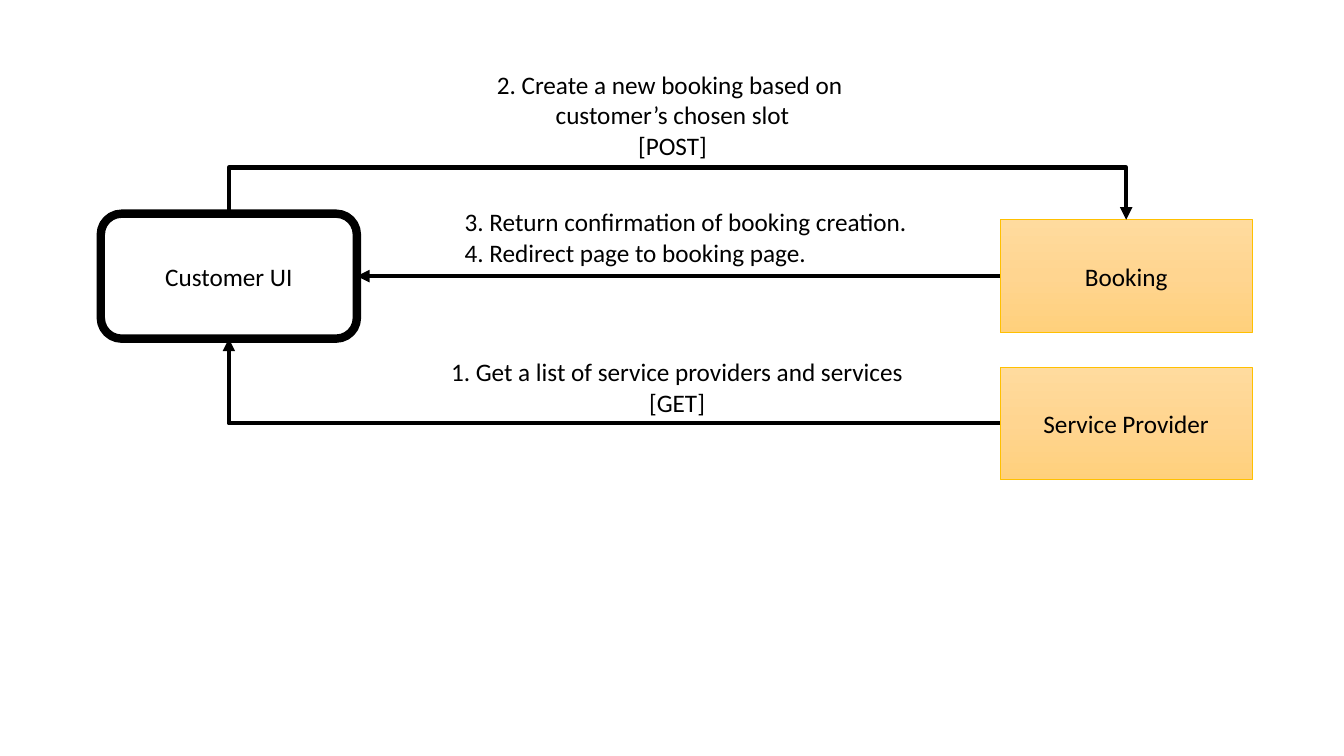
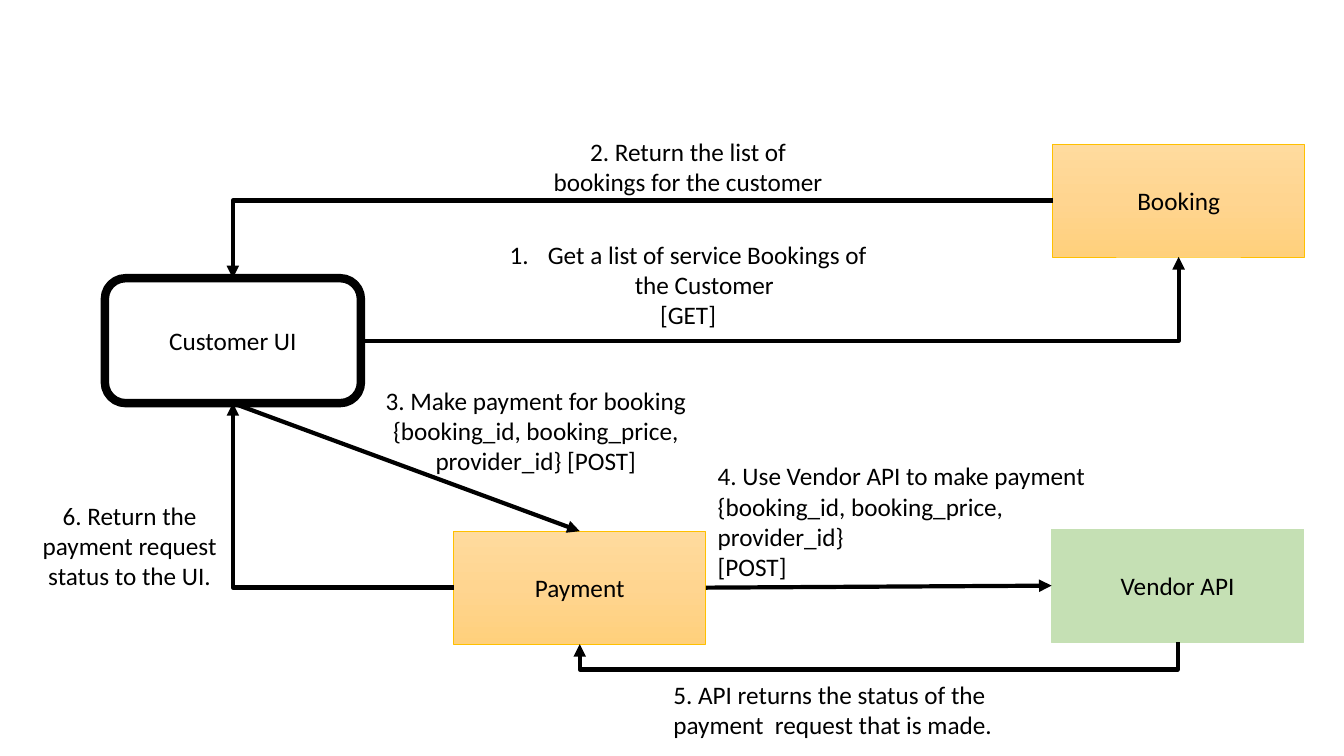
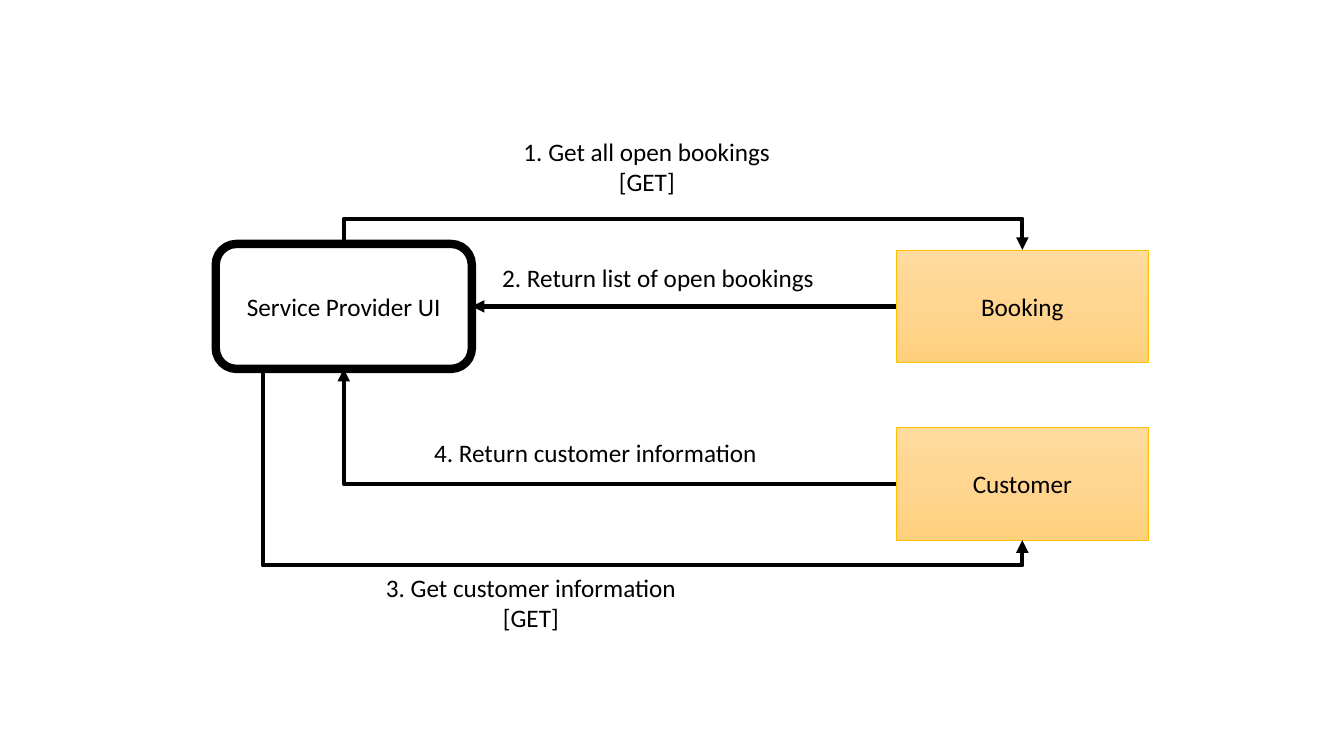
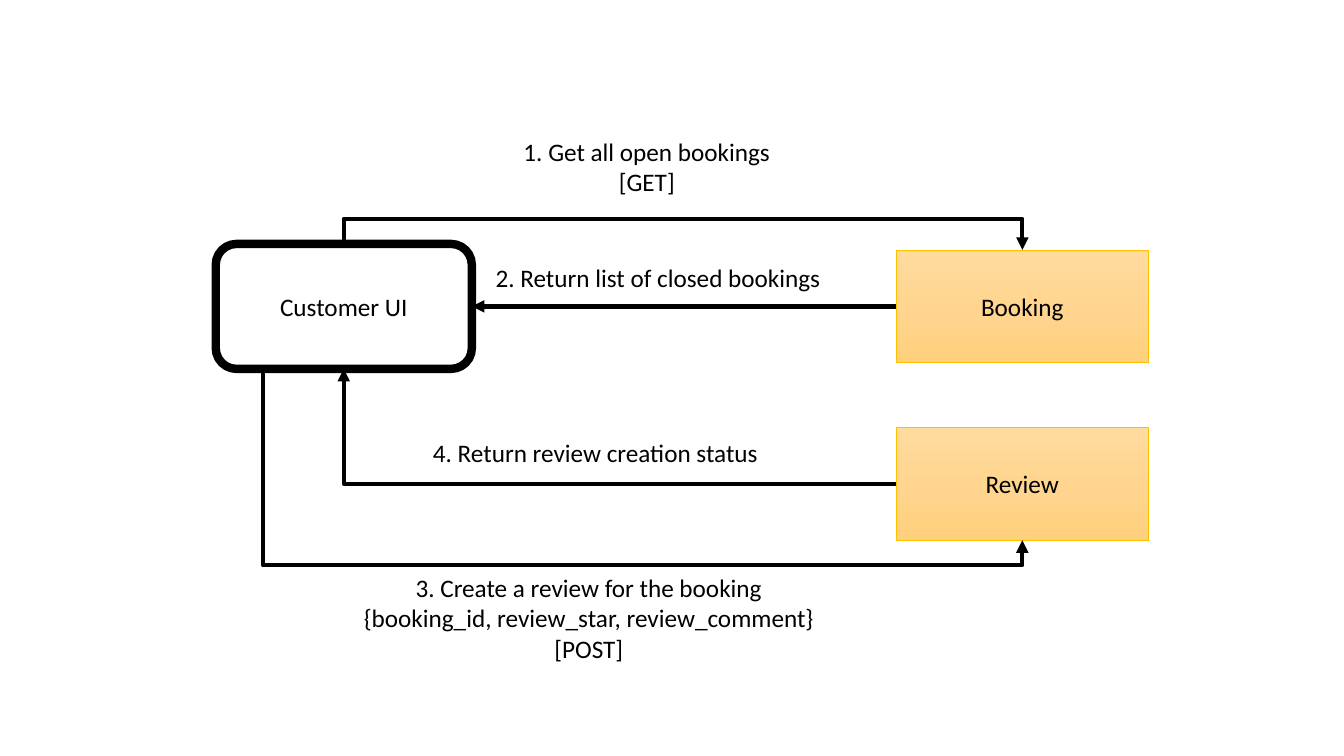
from copy import deepcopy

from pptx import Presentation
from pptx.dml.color import RGBColor
from pptx.enum.shapes import MSO_CONNECTOR, MSO_SHAPE
from pptx.enum.text import MSO_ANCHOR, MSO_AUTO_SIZE, PP_ALIGN
from pptx.oxml.ns import qn
from pptx.oxml.xmlchemy import OxmlElement
from pptx.util import Inches, Pt

BLACK = RGBColor(0x00, 0x00, 0x00)
WHITE = RGBColor(0xFF, 0xFF, 0xFF)
GOLD = RGBColor(0xFF, 0xC0, 0x00)
GREEN = RGBColor(0xC5, 0xE0, 0xB4)
AMBER_STOPS = [
    (0, RGBColor(0xFF, 0xDB, 0x9E)),
    (0.5, RGBColor(0xFF, 0xD5, 0x90)),
    (1, RGBColor(0xFF, 0xD0, 0x7C)),
]
FONT = "Calibri"
TEXT_SIZE = Pt(18)
TOP, LEFT, BOTTOM, RIGHT = range(4)
CENTER, START = PP_ALIGN.CENTER, PP_ALIGN.LEFT

BOX_SIZES = {"ui": (2.54, 1.24), "service": (2.5, 1.12), "external": (2.5, 1.12)}


def two_service_flow(ui, second_service, labels):
    return {
        "boxes": [
            ("ui", ui, 2.14, 2.42),
            ("service", "Booking", 8.89, 2.48),
            ("service", second_service, 8.89, 4.24),
        ],
        "straight": [("Booking", LEFT, ui, RIGHT)],
        "corner": [(second_service, LEFT, ui, BOTTOM)],
        "lane": [(ui, TOP, "Booking", TOP, 2.17)],
        "detour": [(2.61, 3.66, second_service, BOTTOM, 5.61)],
        "labels": labels,
    }


OPEN_BOOKINGS = (4.32, 1.3, 4.19, 0.71, CENTER, ["1. Get all open bookings", "[GET]"])

FLOWS = [
    {
        "boxes": [
            ("ui", "Customer UI", 1, 2.12),
            ("service", "Booking", 9.92, 2.18),
            ("service", "Service Provider", 9.92, 3.64),
        ],
        "straight": [("Booking", LEFT, "Customer UI", RIGHT)],
        "corner": [("Service Provider", LEFT, "Customer UI", BOTTOM)],
        "lane": [("Customer UI", TOP, "Booking", TOP, 1.66)],
        "labels": [
            (4.37, 3.49, 4.69, 0.71, CENTER,
             ["1. Get a list of service providers and services", "[GET]"]),
            (3.48, 0.64, 6.38, 1.01, CENTER,
             ["2. Create a new booking based on ", "customer’s chosen slot", "[POST]"]),
            (4.51, 2, 4.7, 0.71, START,
             ["3. Return confirmation of booking creation.",
              "4. Redirect page to booking page. "]),
        ],
    },
    {
        "boxes": [
            ("ui", "Customer UI", 1.04, 2.76),
            ("service", "Payment", 4.5, 5.27),
            ("service", "Booking", 10.44, 1.43),
            ("external", "Vendor API", 10.43, 5.25),
        ],
        "straight": [
            ("Customer UI", BOTTOM, "Payment", TOP),
            ("Payment", RIGHT, "Vendor API", LEFT),
        ],
        "corner": [
            ("Customer UI", RIGHT, "Booking", BOTTOM),
            ("Payment", LEFT, "Customer UI", BOTTOM),
            ("Booking", LEFT, "Customer UI", TOP),
        ],
        "lane": [("Vendor API", BOTTOM, "Payment", BOTTOM, 6.64)],
        "numbered": "Get a list of service Bookings of the Customer ",
        "labels": [
            (4.91, 2.32, 3.83, 1.01, CENTER,
             ["Get a list of service Bookings of the Customer ", "[GET]"]),
            (5.31, 1.3, 3.03, 0.71, CENTER,
             ["2. Return the list of bookings for the customer"]),
            (3.4, 3.77, 3.83, 1.01, CENTER,
             ["3. Make payment for booking",
              "{booking_id, booking_price, provider_id} [POST]"]),
            (7.02, 4.52, 3.97, 1.31, START,
             ["4. Use Vendor API to make payment",
              "{booking_id, booking_price, provider_id} ", "[POST]"]),
            (6.58, 6.69, 3.83, 0.71, START,
             ["5. API returns the status of the payment  request that is made."]),
            (0.19, 4.91, 2.19, 1.01, CENTER,
             ["6. Return the payment request status to the UI."]),
        ],
    },
    two_service_flow("Service Provider UI", "Customer", [
        OPEN_BOOKINGS,
        (4.46, 2.55, 4.19, 0.4, CENTER, ["2. Return list of open bookings "]),
        (3.17, 5.63, 4.19, 0.71, CENTER, ["3. Get customer information", "[GET]"]),
        (3.81, 4.29, 4.19, 0.4, CENTER, ["4. Return customer information"]),
    ]),
    two_service_flow("Customer UI", "Review", [
        OPEN_BOOKINGS,
        (4.46, 2.55, 4.19, 0.4, CENTER, ["2. Return list of closed bookings "]),
        (3.17, 5.63, 5.34, 1.31, CENTER,
         ["3. Create a review for the booking",
          "{booking_id, review_star, review_comment}", "[POST]"]),
        (3.81, 4.29, 4.19, 0.4, CENTER, ["4. Return review creation status"]),
    ]),
]


def write(paragraph, text, alignment):
    paragraph.alignment = alignment
    run = paragraph.add_run()
    run.text = text
    run.font.name = FONT
    run.font.size = TEXT_SIZE
    run.font.color.rgb = BLACK


def number(paragraph):
    properties = paragraph._p.get_or_add_pPr()
    properties.set("marL", str(Inches(0.38)))
    properties.set("indent", str(-Inches(0.38)))
    bullet = OxmlElement("a:buAutoNum")
    bullet.set("type", "arabicPeriod")
    properties.append(bullet)


def fill_amber(shape):
    shape.fill.gradient()
    shape.fill.gradient_angle = 270
    stop_list = shape.element.spPr.find(qn("a:gradFill")).find(qn("a:gsLst"))
    stop_list.append(deepcopy(stop_list[0]))
    for stop, (position, color) in zip(shape.fill.gradient_stops, AMBER_STOPS):
        stop.position = position
        stop.color.rgb = color


def add_box(slide, kind, name, left, top):
    width, height = BOX_SIZES[kind]
    preset = MSO_SHAPE.ROUNDED_RECTANGLE if kind == "ui" else MSO_SHAPE.RECTANGLE
    shape = slide.shapes.add_shape(
        preset, Inches(left), Inches(top), Inches(width), Inches(height))
    shape.shadow.inherit = False
    if kind == "service":
        fill_amber(shape)
    else:
        shape.fill.solid()
        shape.fill.fore_color.rgb = WHITE if kind == "ui" else GREEN
    shape.line.color.rgb = {"ui": BLACK, "service": GOLD, "external": GREEN}[kind]
    shape.line.width = Pt(6 if kind == "ui" else 0.5)
    shape.text_frame.vertical_anchor = MSO_ANCHOR.MIDDLE
    write(shape.text_frame.paragraphs[0], name, CENTER)
    return shape


def add_label(slide, left, top, width, height, alignment, lines, numbered):
    box = slide.shapes.add_textbox(
        Inches(left), Inches(top), Inches(width), Inches(height))
    frame = box.text_frame
    frame.word_wrap = True
    frame.auto_size = MSO_AUTO_SIZE.SHAPE_TO_FIT_TEXT
    for index, line in enumerate(lines):
        paragraph = frame.add_paragraph() if index else frame.paragraphs[0]
        write(paragraph, line, alignment)
        if line == numbered:
            number(paragraph)


def add_arrow(slide, kind, start, target, target_side):
    arrow = slide.shapes.add_connector(kind, *start, *start)
    arrow.end_connect(target, target_side)
    arrow.line.color.rgb = BLACK
    arrow.line.width = Pt(3)
    head = OxmlElement("a:tailEnd")
    head.set("type", "triangle")
    arrow.line._get_or_add_ln().append(head)
    arrow.element.spPr.append(OxmlElement("a:effectLst"))
    return arrow


def link(slide, kind, source, source_side, target, target_side):
    arrow = add_arrow(slide, kind, (0, 0), target, target_side)
    arrow.begin_connect(source, source_side)
    return arrow


def bend(arrow, preset, *ratios):
    geometry = arrow.element.spPr.find(qn("a:prstGeom"))
    geometry.set("prst", preset)
    guides = geometry.find(qn("a:avLst"))
    if guides is None:
        guides = OxmlElement("a:avLst")
        geometry.append(guides)
    for index, ratio in enumerate(ratios, 1):
        guide = OxmlElement("a:gd")
        guide.set("name", f"adj{index}")
        guide.set("fmla", f"val {round(ratio * 100000)}")
        guides.append(guide)


def lane_ratio(arrow, lane):
    return (Inches(lane) - arrow.begin_y) / (arrow.end_y - arrow.begin_y)


def turn_to_vertical(arrow):
    runs_right = arrow.end_x > arrow.begin_x
    center_x = (arrow.begin_x + arrow.end_x) // 2
    center_y = (arrow.begin_y + arrow.end_y) // 2
    width, height = arrow.height, arrow.width
    arrow.left, arrow.top = center_x - width // 2, center_y - height // 2
    arrow.width, arrow.height = width, height
    frame = arrow.element.spPr.find(qn("a:xfrm"))
    for flip in ("flipH", "flipV"):
        frame.attrib.pop(flip, None)
    frame.set("rot", str((270 if runs_right else 90) * 60000))
    if runs_right:
        frame.set("flipH", "1")


def draw_flow(slide, flow):
    boxes = {box[1]: add_box(slide, *box) for box in flow["boxes"]}
    for source, source_side, target, target_side in flow["straight"]:
        link(slide, MSO_CONNECTOR.STRAIGHT,
             boxes[source], source_side, boxes[target], target_side)
    for source, source_side, target, target_side in flow["corner"]:
        arrow = link(slide, MSO_CONNECTOR.ELBOW,
                     boxes[source], source_side, boxes[target], target_side)
        bend(arrow, "bentConnector2")
    for source, source_side, target, target_side, lane in flow["lane"]:
        arrow = link(slide, MSO_CONNECTOR.ELBOW,
                     boxes[source], source_side, boxes[target], target_side)
        bend(arrow, "bentConnector3", lane_ratio(arrow, lane))
        turn_to_vertical(arrow)
    for left, top, target, target_side, lane in flow.get("detour", []):
        arrow = add_arrow(slide, MSO_CONNECTOR.ELBOW,
                          (Inches(left), Inches(top)), boxes[target], target_side)
        bend(arrow, "bentConnector4", 0, lane_ratio(arrow, lane))
    for label in flow["labels"]:
        add_label(slide, *label, flow.get("numbered"))


presentation = Presentation()
presentation.slide_width = Inches(13.33)
presentation.slide_height = Inches(7.5)
for flow in FLOWS:
    draw_flow(presentation.slides.add_slide(presentation.slide_layouts[6]), flow)
presentation.save("out.pptx")
